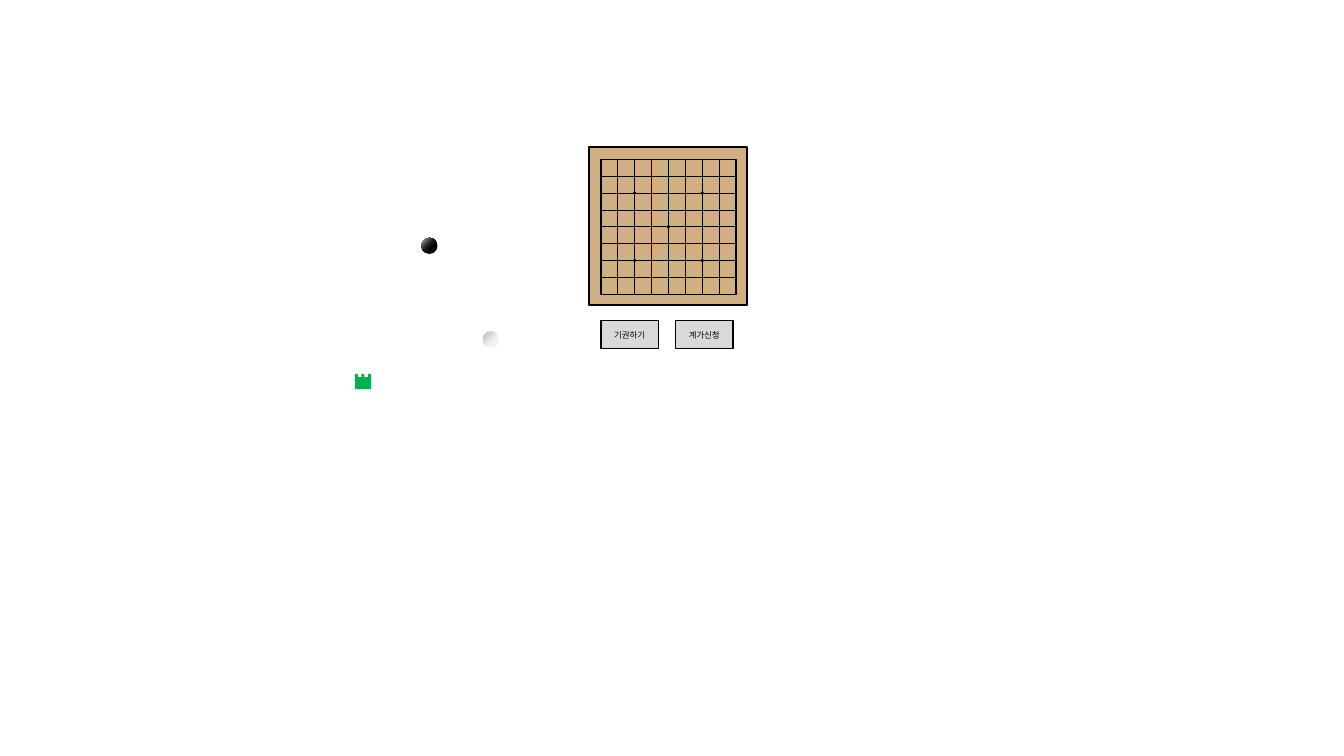
import lxml.etree
import pptx
import pptx.dml.color
import pptx.enum.shapes
import pptx.enum.text
import pptx.oxml.ns
import pptx.util

Inches = pptx.util.Inches
SHAPE = pptx.enum.shapes.MSO_SHAPE
FONT = "Noto Sans CJK KR"
COLORS = {
    "ink": "000000",
    "wood": "D0AF82",
    "button": "D9D9D9",
    "castle": "00B050",
}
BLACK_STONE = [(37, "000000"), (61, "262626"), (86, "808080")]
WHITE_STONE = [(43, "F2F2F2"), (91, "BFBFBF"), (100, "262626")]
GRID_LEFT, GRID_TOP, GRID_SIZE, CELLS = 5.96, 1.58, 1.34, 8


def rgb(name):
    return pptx.dml.color.RGBColor.from_string(COLORS[name])


def add_figure(shapes, kind, left, top, width, height, fill=None, line_width=None):
    shape = shapes.add_shape(kind, Inches(left), Inches(top), Inches(width), Inches(height))
    shape.shadow.inherit = False
    if fill:
        shape.fill.solid()
        shape.fill.fore_color.rgb = rgb(fill)
    else:
        shape.fill.background()
    if line_width:
        shape.line.color.rgb = rgb("ink")
        shape.line.width = pptx.util.Pt(line_width)
    else:
        shape.line.fill.background()
    return shape


def add_line(shapes, x1, y1, x2, y2):
    line = shapes.add_connector(
        pptx.enum.shapes.MSO_CONNECTOR.STRAIGHT,
        Inches(x1), Inches(y1), Inches(x2), Inches(y2))
    line.line.color.rgb = rgb("ink")
    line.line.width = pptx.util.Pt(0.5)
    lxml.etree.SubElement(line._element.spPr, pptx.oxml.ns.qn("a:effectLst"))
    return line


def add_board(slide):
    shapes = slide.shapes.add_group_shape().shapes
    add_figure(shapes, SHAPE.RECTANGLE, 5.84, 1.46, 1.57, 1.57, "wood", 1.5)
    grid = add_figure(shapes, SHAPE.RECTANGLE, GRID_LEFT, GRID_TOP,
                      GRID_SIZE, GRID_SIZE, line_width=1)
    cell = GRID_SIZE / CELLS
    right, bottom = GRID_LEFT + GRID_SIZE, GRID_TOP + GRID_SIZE
    for index in range(1, CELLS):
        x, y = GRID_LEFT + index * cell, GRID_TOP + index * cell
        row = add_line(shapes, GRID_LEFT, y, right, y)
        column = add_line(shapes, x, GRID_TOP, x, bottom)
        if index == CELLS // 2:
            row.begin_connect(grid, 1)
            row.end_connect(grid, 3)
            column.begin_connect(grid, 0)
            column.end_connect(grid, 2)

    dot = 0.03
    for column, row in [(4, 4), (6, 6), (2, 6), (2, 2), (6, 2)]:
        add_figure(shapes, SHAPE.OVAL, GRID_LEFT + column * cell - dot / 2,
                   GRID_TOP + row * cell - dot / 2, dot, dot, "ink")


def add_castle(slide):
    shapes = slide.shapes.add_group_shape().shapes
    left, top, width, tower = 3.52, 3.71, 0.16, 0.03
    add_figure(shapes, SHAPE.RECTANGLE, left, top + 0.03, width, 0.12, "castle")
    for index in range(3):
        add_figure(shapes, SHAPE.RECTANGLE, left + index * (width - tower) / 2,
                   top, tower, 0.04, "castle")


def add_stone(slide, left, top, stops):
    """Add a round stone shaded towards its upper left by (percent, colour) stops."""
    stone = add_figure(slide.shapes, SHAPE.OVAL, left, top, 0.16, 0.16)
    stone.fill.gradient()
    stone.fill.gradient_angle = 135
    qn = pptx.oxml.ns.qn
    stop_list = stone._element.spPr.find(qn("a:gradFill")).find(qn("a:gsLst"))
    for old_stop in list(stop_list):
        stop_list.remove(old_stop)
    for percent, color in stops:
        stop = lxml.etree.SubElement(stop_list, qn("a:gs"), pos=str(percent * 1000))
        lxml.etree.SubElement(stop, qn("a:srgbClr"), val=color)


def add_button(slide, left, label):
    button = add_figure(slide.shapes, SHAPE.RECTANGLE, left, 3.18, 0.57, 0.28, "button", 1)
    frame = button.text_frame
    frame.text = label
    frame.vertical_anchor = pptx.enum.text.MSO_ANCHOR.MIDDLE
    paragraph = frame.paragraphs[0]
    paragraph.alignment = pptx.enum.text.PP_ALIGN.CENTER
    run = paragraph.runs[0]
    run.font.size = pptx.util.Pt(6)
    run.font.name = FONT
    run.font.color.rgb = rgb("ink")
    lxml.etree.SubElement(run.font._element, pptx.oxml.ns.qn("a:ea"), typeface=FONT)


def main():
    presentation = pptx.Presentation()
    presentation.slide_width = Inches(13.33)
    presentation.slide_height = Inches(7.5)
    slide = presentation.slides.add_slide(presentation.slide_layouts[6])
    add_board(slide)
    add_castle(slide)
    add_stone(slide, 4.18, 2.36, BLACK_STONE)
    add_stone(slide, 4.79, 3.29, WHITE_STONE)
    add_button(slide, 6.7, "계가신청")
    add_button(slide, 5.96, "기권하기")
    presentation.save("out.pptx")


if __name__ == "__main__":
    main()
